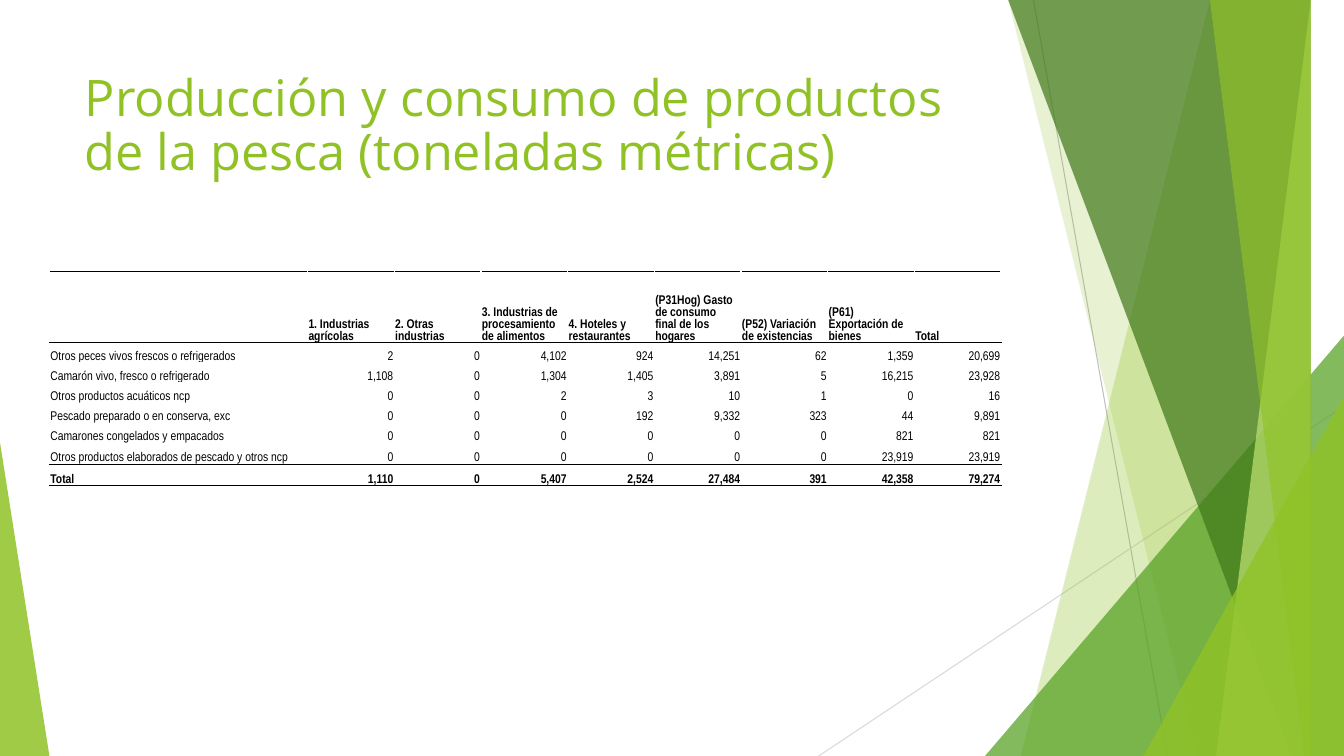
from lxml.etree import SubElement
from pptx import Presentation
from pptx.dml.color import RGBColor
from pptx.enum.shapes import MSO_CONNECTOR, MSO_SHAPE
from pptx.enum.text import MSO_ANCHOR, MSO_AUTO_SIZE, PP_ALIGN
from pptx.oxml.ns import qn
from pptx.util import Inches, Pt

WIDTH, HEIGHT = 13.33, 7.5
TITLE = "Producción y consumo de productos de la pesca (toneladas métricas)"
GREEN, BLACK = "90C226", "000000"

HEADINGS = ["", "1. Industrias agrícolas", "2. Otras industrias",
            "3. Industrias de procesamiento de alimentos", "4. Hoteles y restaurantes",
            "(P31Hog) Gasto de consumo final de los hogares",
            "(P52) Variación de existencias", "(P61) Exportación de bienes", "Total"]
PRODUCTS = [
    ("Otros peces vivos frescos o refrigerados", 2, 0, 4102, 924, 14251, 62, 1359, 20699),
    ("Camarón vivo, fresco o refrigerado", 1108, 0, 1304, 1405, 3891, 5, 16215, 23928),
    ("Otros productos acuáticos ncp", 0, 0, 2, 3, 10, 1, 0, 16),
    ("Pescado preparado o en conserva, exc", 0, 0, 0, 192, 9332, 323, 44, 9891),
    ("Camarones congelados y empacados", 0, 0, 0, 0, 0, 0, 821, 821),
    ("Otros productos elaborados de pescado y otros ncp", 0, 0, 0, 0, 0, 0, 23919, 23919),
]
TOTALS = ("Total", 1110, 0, 5407, 2524, 27484, 391, 42358, 79274)
COLUMN_WIDTHS = [2.56] + [0.86] * 8
ROW_HEIGHTS = [0.71] + [0.2] * 5 + [0.21] * 2

# Hairlines: start, end, colour
HAIRLINES = [((10.25, 0), (11.58, HEIGHT), "BFBFBF"),
             ((WIDTH, 4.03), (8.12, HEIGHT), "D9D9D9")]
# Panels reach the right edge: x at the top, x at the bottom, colour, opacity
# Wedges stand on the bottom edge: left, top, width, apex share, colour, opacity
DECOR = [
    ("panel", 12.28, 10.04, GREEN, 30),
    ("panel", 10.5, 11.83, GREEN, 20),
    ("wedge", 9.77, 3.33, 3.56, 1, "54A021", 72),
    ("panel", 10.21, 12.91, "3F7819", 70),
    ("panel", 13.03, 11.92, "C0E474", 70),
    ("panel", 11.96, 13.18, GREEN, 65),
    ("wedge", 11.34, 3.93, 1.99, 1, GREEN, 80),
    ("wedge", 0, 4.39, 0.49, 0, GREEN, 85),
]


def color(hex_code):
    """Turn a hex string into a colour."""
    return RGBColor.from_string(hex_code)


def paint(shape, hex_code, opacity):
    """Give a shape a see-through fill without outline or shadow."""
    shape.shadow.inherit = False
    shape.line.fill.background()
    shape.fill.solid()
    shape.fill.fore_color.rgb = color(hex_code)
    tint = shape.element.spPr.find(qn("a:solidFill"))[0]
    SubElement(tint, qn("a:alpha"), val=str(opacity * 1000))


def add_hairline(slide, start, end, hex_code):
    """Draw a thin straight line."""
    hairline = slide.shapes.add_connector(
        MSO_CONNECTOR.STRAIGHT, *(Inches(v) for v in start + end))
    hairline.line.color.rgb = color(hex_code)
    hairline.line.width = Pt(0.75)
    SubElement(hairline.element.spPr, qn("a:effectLst"))


def add_panel(slide, top_x, bottom_x):
    """Outline a full-height panel with a slanted left side."""
    outline = slide.shapes.build_freeform(top_x, 0, scale=Inches(1))
    outline.add_line_segments([(WIDTH, 0), (WIDTH, HEIGHT), (bottom_x, HEIGHT)])
    return outline.convert_to_shape()


def add_wedge(slide, left, top, width, apex):
    """Stand a triangle on the bottom edge."""
    wedge = slide.shapes.add_shape(
        MSO_SHAPE.ISOSCELES_TRIANGLE,
        *(Inches(v) for v in (left, top, width, HEIGHT - top)))
    wedge.adjustments[0] = apex
    return wedge


def rule_cell(cell, sides):
    """Draw black rules on the given sides of a cell, before its fill."""
    properties = cell._tc.get_or_add_tcPr()
    for position, side in enumerate(sides):
        rule = SubElement(properties, qn(f"a:{side}"), w=str(Pt(1)))
        SubElement(SubElement(rule, qn("a:solidFill")), qn("a:srgbClr"), val=BLACK)
        properties.insert(position, rule)


def fill_cell(cell, content, bold):
    """Write one table cell; numbers go to the right."""
    is_number = isinstance(content, int)
    cell.text = f"{content:,}" if is_number else content
    cell.vertical_anchor = MSO_ANCHOR.BOTTOM
    cell.margin_left = cell.margin_top = cell.margin_right = Inches(0.01)
    cell.margin_bottom = 0
    cell.fill.background()
    paragraph = cell.text_frame.paragraphs[0]
    paragraph.alignment = PP_ALIGN.RIGHT if is_number else PP_ALIGN.LEFT
    paragraph.font.name, paragraph.font.size = "Arial Narrow", Pt(9)
    paragraph.font.bold = bold
    paragraph.font.color.rgb = color(BLACK)


def add_fishery_table(slide):
    """Build the table with rules around its heading and total rows."""
    rows = [HEADINGS, *PRODUCTS, TOTALS]
    last = len(rows) - 1
    table = slide.shapes.add_table(
        len(rows), len(HEADINGS), Inches(0.49), Inches(2.69),
        Inches(sum(COLUMN_WIDTHS)), Inches(sum(ROW_HEIGHTS))).table
    table.first_row = table.horz_banding = False
    for column, width in zip(table.columns, COLUMN_WIDTHS):
        column.width = Inches(width)
    for r, (row, height) in enumerate(zip(rows, ROW_HEIGHTS)):
        table.rows[r].height = Inches(height)
        sides = ["lnT"] * (r in (0, 1, last)) + ["lnB"] * (r in (0, last - 1, last))
        for c, content in enumerate(row):
            fill_cell(table.cell(r, c), content, r in (0, last))
            rule_cell(table.cell(r, c), sides)


def add_title(slide):
    """Place the title in front of the decoration."""
    title = slide.shapes.title
    title.left, title.top, title.width, title.height = (
        Inches(v) for v in (0.74, 0.67, 9.4, 1.44))
    frame = title.text_frame
    frame.text = TITLE
    frame.word_wrap = True
    frame.auto_size = MSO_AUTO_SIZE.NONE
    frame.vertical_anchor = MSO_ANCHOR.TOP
    paragraph = frame.paragraphs[0]
    paragraph.alignment = PP_ALIGN.LEFT
    paragraph.line_spacing = 0.9
    paragraph.font.name, paragraph.font.size = "Open Sans", Pt(36)
    paragraph.font.color.rgb = color(GREEN)
    title.element.getparent().append(title.element)


presentation = Presentation()
presentation.slide_width, presentation.slide_height = Inches(WIDTH), Inches(HEIGHT)
slide = presentation.slides.add_slide(presentation.slide_layouts[5])
for start, end, hex_code in HAIRLINES:
    add_hairline(slide, start, end, hex_code)
for kind, *place, hex_code, opacity in DECOR:
    add_part = add_panel if kind == "panel" else add_wedge
    paint(add_part(slide, *place), hex_code, opacity)
add_title(slide)
add_fishery_table(slide)
presentation.save("out.pptx")
